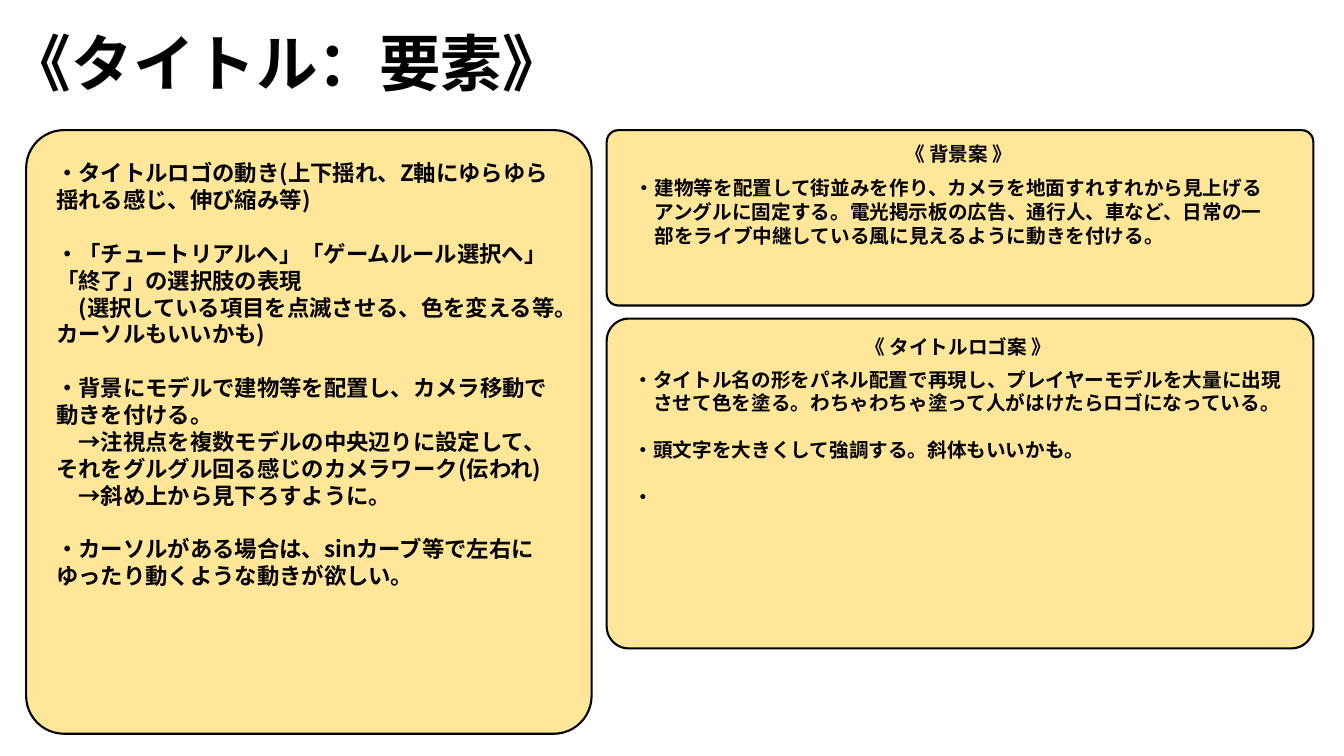
from dataclasses import dataclass

from lxml import etree
from pptx import Presentation
from pptx import util as u
from pptx.dml import color
from pptx.enum import shapes, text
from pptx.oxml import ns

COLORS = {"panel": "FFE699", "ink": "000000"}
FONT = "Noto Sans CJK JP"
LINE_HEIGHT = 1.2
RIGHT_COLUMN = {"left": 15.29, "width": 17.81}


@dataclass(frozen=True)
class Panel:
    left: float
    top: float
    width: float
    height: float


@dataclass(frozen=True)
class Label:
    left: float
    top: float
    width: float
    height: float
    size: int
    groups: tuple[tuple[str, ...], ...]
    wrap: bool = False


PANELS = (
    Panel(0.66, 3.28, 14.25, 15.21),
    Panel(top=3.28, height=4.42, **RIGHT_COLUMN),
    Panel(top=8.03, height=8.31, **RIGHT_COLUMN),
)

LABELS = (
    Label(0, 0.51, 14.63, 2.13, 44, (("《タイトル：要素》",),)),
    Label(1.17, 3.89, 13.28, 11.53, 16, (
        ("・タイトルロゴの動き(上下揺れ、Z軸にゆらゆら揺れる感じ、伸び縮み等)",),
        ("・「チュートリアルへ」「ゲームルール選択へ」「終了」の選択肢の表現",
         "　(選択している項目を点滅させる、色を変える等。カーソルもいいかも)"),
        ("・背景にモデルで建物等を配置し、カメラ移動で動きを付ける。",
         "　→注視点を複数モデルの中央辺りに設定して、それをグルグル回る感じのカメラワーク(伝われ)",
         "　→斜め上から見下ろすように。"),
        ("・カーソルがある場合は、sinカーブ等で左右にゆったり動くような動きが欲しい。",),
    ), wrap=True),
    Label(22.56, 3.45, 3.3, 0.86, 14, (("《 背景案 》",),)),
    Label(15.75, 4.32, 16.46, 2.06, 14, (
        ("・建物等を配置して街並みを作り、カメラを地面すれすれから見上げる",
         "　アングルに固定する。電光掲示板の広告、通行人、車など、日常の一",
         "　部をライブ中継している風に見えるように動きを付ける。"),
    )),
    Label(21.56, 8.31, 5.28, 0.86, 14, (("《 タイトルロゴ案 》",),)),
    Label(15.72, 9.14, 16.97, 3.84, 14, (
        ("・タイトル名の形をパネル配置で再現し、プレイヤーモデルを大量に出現",
         "　させて色を塗る。わちゃわちゃ塗って人がはけたらロゴになっている。"),
        ("・頭文字を大きくして強調する。斜体もいいかも。",),
        ("・",),
    )),
)


def rgb(name: str) -> color.RGBColor:
    return color.RGBColor.from_string(COLORS[name])


def box(item: Panel | Label) -> tuple[u.Cm, ...]:
    return tuple(u.Cm(value) for value in (item.left, item.top, item.width, item.height))


def apply_format(target: object, values: dict[str, object]) -> None:
    for name, value in values.items():
        setattr(target, name, value)


def draw_panel(slide: object, panel: Panel) -> None:
    shape = slide.shapes.add_shape(shapes.MSO_SHAPE.ROUNDED_RECTANGLE, *box(panel))
    shape.adjustments[0] = 0.067
    shape.shadow.inherit = False
    shape.fill.solid()
    shape.fill.fore_color.rgb = rgb("panel")
    shape.line.color.rgb = rgb("ink")
    shape.line.width = u.Pt(1.5)


def draw_label(slide: object, label: Label) -> None:
    frame = slide.shapes.add_textbox(*box(label)).text_frame
    apply_format(frame, {
        "word_wrap": label.wrap,
        "auto_size": text.MSO_AUTO_SIZE.SHAPE_TO_FIT_TEXT,
    })
    paragraph = frame.paragraphs[0]
    for group_index, group in enumerate(label.groups):
        for line_index, line in enumerate(group):
            if group_index or line_index:
                paragraph = frame.add_paragraph()
            if group_index and not line_index:
                paragraph.space_before = u.Pt(label.size * LINE_HEIGHT)
            run = paragraph.add_run()
            run.text = line
            apply_format(run.font, {"name": FONT, "size": u.Pt(label.size), "bold": True})
            run.font.color.rgb = rgb("ink")
            properties = run._r.get_or_add_rPr()
            etree.SubElement(properties, ns.qn("a:ea"), typeface=FONT)


def main() -> None:
    presentation = Presentation()
    apply_format(presentation, {"slide_width": u.Cm(33.87), "slide_height": u.Cm(19.05)})
    slide = presentation.slides.add_slide(presentation.slide_layouts[6])
    for panel in PANELS:
        draw_panel(slide, panel)
    for label in LABELS:
        draw_label(slide, label)
    presentation.save("out.pptx")


if __name__ == "__main__":
    main()
